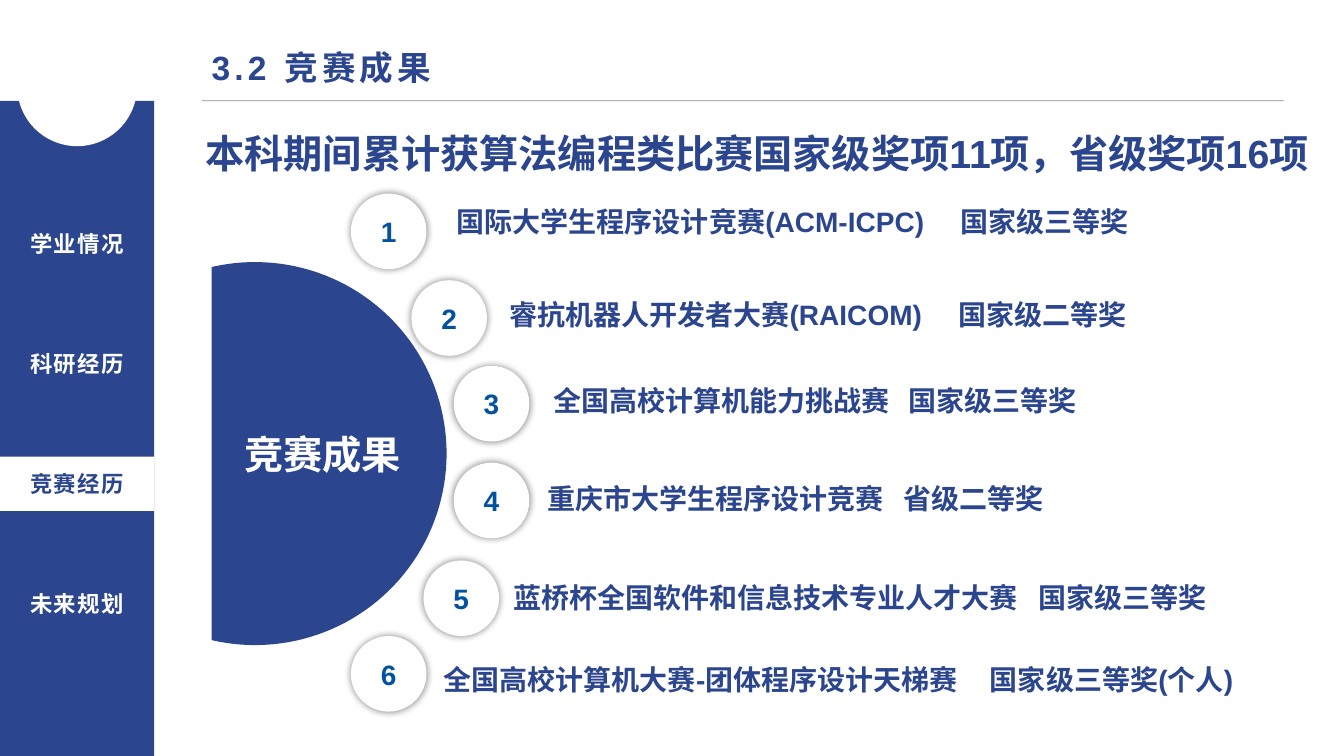
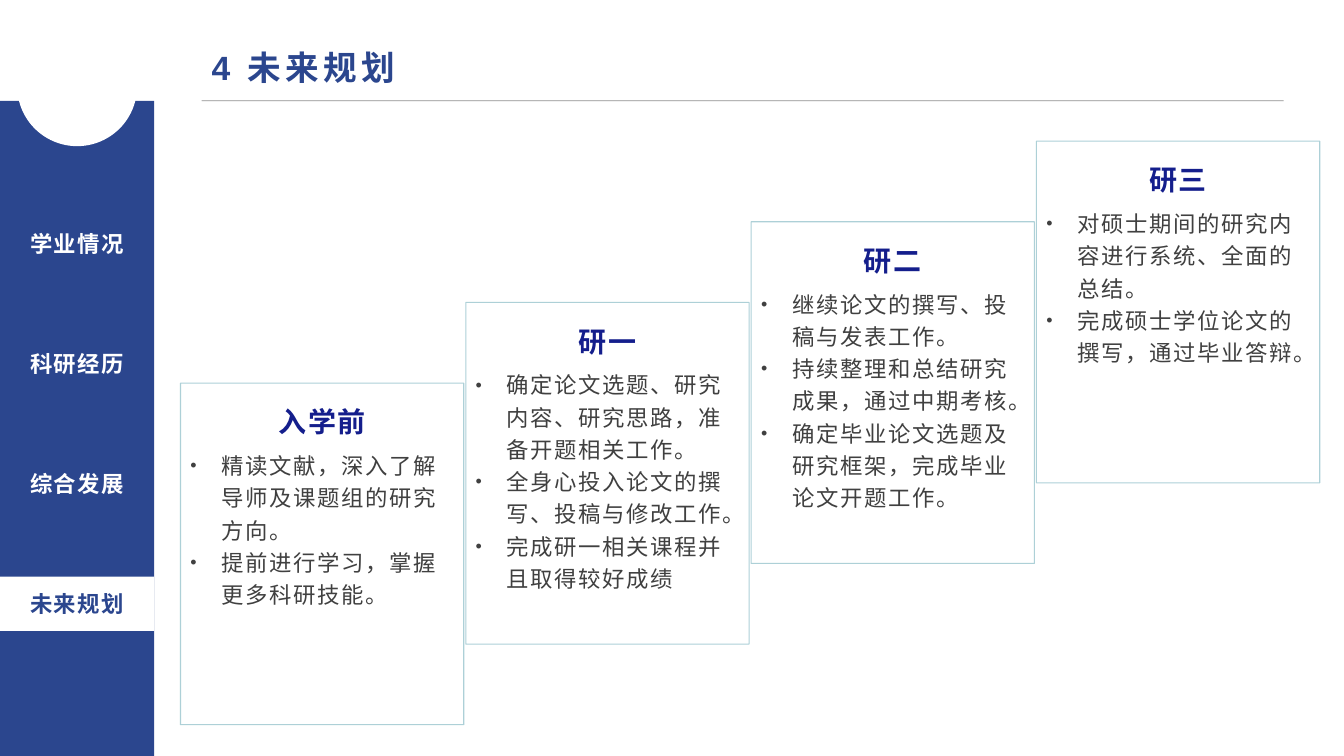
from math import acos, cos, pi, sin

from pptx import Presentation
from pptx.dml.color import RGBColor
from pptx.enum.shapes import MSO_CONNECTOR, MSO_SHAPE
from pptx.enum.text import MSO_ANCHOR, PP_ALIGN
from pptx.oxml.ns import qn
from pptx.util import Inches, Pt
from lxml.etree import SubElement

# Theme: colours and type styles
NAVY, WHITE = RGBColor(0x2B, 0x46, 0x8E), RGBColor(0xFF, 0xFF, 0xFF)
CJK = "Noto Sans CJK SC"
THEME = {
    "rule": RGBColor(0x0D, 0x0D, 0x0D),
    "card": RGBColor(0x15, 0x7A, 0x8E),
    "title": {"font": {"size": Pt(24), "bold": True, "name": "Arial"}, "color": NAVY, "spacing": 300},
    "tab": {"font": {"size": Pt(16), "bold": True, "name": CJK}, "color": WHITE, "spacing": 110},
    "tab_on": {"font": {"size": Pt(16), "bold": True, "name": CJK}, "color": NAVY, "spacing": 110},
    "summary": {"font": {"size": Pt(28), "bold": True, "name": "Arial"}, "color": NAVY},
    "hub": {"font": {"size": Pt(28), "bold": True, "name": CJK}, "color": WHITE},
    "award": {"font": {"size": Pt(20), "bold": True, "name": "Arial"}, "color": NAVY},
    "number": {"font": {"size": Pt(20), "bold": True, "name": "Arial"}, "color": RGBColor(0x02, 0x52, 0x9F)},
    "stage": {"font": {"size": Pt(20), "bold": True, "name": "Arial"},
              "color": RGBColor(0x14, 0x1E, 0x8C), "spacing": 120},
    "task": {"font": {"size": Pt(16), "bold": False, "name": "Arial"},
             "color": RGBColor(0x40, 0x40, 0x40), "spacing": 120},
}


def write(paragraph, text, style, **layout):
    """Fill a paragraph with one styled run."""
    for name, value in layout.items():
        setattr(paragraph, name, value)
    run = paragraph.add_run()
    run.text = text
    for name, value in style["font"].items():
        setattr(run.font, name, value)
    run.font.color.rgb = style["color"]
    properties = run.font._element
    properties.set("spc", str(style.get("spacing", 0)))
    SubElement(properties, qn("a:ea")).set("typeface", style["font"]["name"])


def add_box(slide, area, preset=None, fill=None, anchor=MSO_ANCHOR.TOP):
    """Add a preset shape, or a text box when no preset is given."""
    place = [Inches(value) for value in area]
    if preset is None:
        box = slide.shapes.add_textbox(*place)
    else:
        box = slide.shapes.add_shape(preset, *place)
        box.shadow.inherit = False
        box.line.fill.background()
        box.fill.background()
    if fill is not None:
        box.fill.solid()
        box.fill.fore_color.rgb = fill
    box.text_frame.word_wrap = True
    box.text_frame.vertical_anchor = anchor
    return box


prs = Presentation()
prs.slide_width, prs.slide_height = Inches(13.33), Inches(7.5)

# Shared frame: title, rule and side navigation
PAGES = [
    ("3.2 竞赛成果", ["学业情况", "科研经历", "竞赛经历", "未来规划"], "竞赛经历"),
    ("4 未来规划", ["学业情况", "科研经历", "综合发展", "未来规划"], "未来规划"),
]
for title, sections, current in PAGES:
    slide = prs.slides.add_slide(prs.slide_layouts[6])
    rule = slide.shapes.add_connector(MSO_CONNECTOR.STRAIGHT, Inches(2), Inches(1), Inches(12.73), Inches(1))
    rule.line.width = Pt(0.5)
    rule.line.color.rgb = THEME["rule"]
    SubElement(next(rule._element.iter(qn("a:srgbClr"))), qn("a:alpha")).set("val", "46000")
    SubElement(rule._element.spPr, qn("a:effectLst"))

    heading = add_box(slide, (2, 0.42, 11.73, 0.5))
    write(heading.text_frame.paragraphs[0], title, THEME["title"])
    add_box(slide, (0, 1, 1.53, 6.5), MSO_SHAPE.RECTANGLE, NAVY)
    add_box(slide, (0.17, 0.26, 1.19, 1.19), MSO_SHAPE.OVAL, WHITE)
    for row, section in enumerate(sections):
        active = section == current
        tab = add_box(slide, (0, 2.15 + 1.19 * row, 1.53, 0.54),
                      MSO_SHAPE.RECTANGLE if active else None,
                      WHITE if active else None, MSO_ANCHOR.MIDDLE)
        write(tab.text_frame.paragraphs[0], section, THEME["tab_on" if active else "tab"],
              alignment=PP_ALIGN.CENTER)

results, plan = prs.slides

# Results: disc cut off by a vertical edge
CENTER_X, CENTER_Y, RADIUS, CUT_X = 2.53, 4.5, 1.9, 2.1
STEPS = 90
reach = acos((CUT_X - CENTER_X) / RADIUS)
angles = [-reach + 2 * reach * step / STEPS for step in range(STEPS + 1)]
arc = [(Inches(CENTER_X + RADIUS * cos(a)), Inches(CENTER_Y + RADIUS * sin(a))) for a in angles]
outline = results.shapes.build_freeform(*arc[0])
outline.add_line_segments(arc[1:], close=True)
disc = outline.convert_to_shape()
disc.shadow.inherit = False
disc.fill.solid()
disc.fill.fore_color.rgb = NAVY
disc.line.fill.background()

hub = add_box(results, (2.32, 4.22, 1.76, 0.57), anchor=MSO_ANCHOR.MIDDLE)
hub.text_frame.word_wrap = False
write(hub.text_frame.paragraphs[0], "竞赛成果", THEME["hub"], alignment=PP_ALIGN.CENTER)

# Results: numbered awards around the disc
# badge left, badge top, text left, text top, text width, award tab, contest, award
AWARDS = [
    (3.48, 1.92, 4.43, 1.98, 7.48, 5.0, "国际大学生程序设计竞赛(ACM-ICPC)", "国家级三等奖"),
    (4.08, 2.78, 4.95, 2.9, 7.25, 4.46, "睿抗机器人开发者大赛(RAICOM)", "国家级二等奖"),
    (4.5, 3.63, 5.39, 3.76, 6.72, 3.52, "全国高校计算机能力挑战赛", "国家级三等奖"),
    (4.5, 4.59, 5.33, 4.73, 6.86, 3.53, "重庆市大学生程序设计竞赛", "省级二等奖"),
    (4.2, 5.56, 4.99, 5.71, 7.18, 5.21, "蓝桥杯全国软件和信息技术专业人才大赛", "国家级三等奖"),
    (3.48, 6.31, 4.3, 6.52, 8.19, 5.42, "全国高校计算机大赛-团体程序设计天梯赛", "国家级三等奖(个人)"),
]
for number, (badge_x, badge_y, x, y, width, stop, contest, award) in enumerate(AWARDS, 1):
    badge = add_box(results, (badge_x, badge_y, 0.75, 0.75), MSO_SHAPE.OVAL, WHITE, MSO_ANCHOR.MIDDLE)
    write(badge.text_frame.paragraphs[0], str(number), THEME["number"], alignment=PP_ALIGN.CENTER)
    glow = SubElement(badge._element.spPr.find(qn("a:effectLst")), qn("a:outerShdw"))
    for name, value in {"blurRad": "63500", "sx": "102000", "sy": "102000", "algn": "ctr"}.items():
        glow.set(name, value)
    shade = SubElement(glow, qn("a:srgbClr"))
    shade.set("val", "000000")
    SubElement(shade, qn("a:alpha")).set("val", "40000")

    entry = add_box(results, (x, y, width, 0.44)).text_frame.paragraphs[0]
    tab_stop = SubElement(SubElement(entry._p.get_or_add_pPr(), qn("a:tabLst")), qn("a:tab"))
    tab_stop.set("pos", str(Inches(stop)))
    tab_stop.set("algn", "l")
    write(entry, f"{contest}\t{award}", THEME["award"])

summary = add_box(results, (1.94, 1.23, 11.33, 0.57))
write(summary.text_frame.paragraphs[0],
      "本科期间累计获算法编程类比赛国家级奖项11项，省级奖项16项", THEME["summary"])

# Plan: rising steps, one card per stage
STAGES = [
    ("入学前", ["精读文献，深入了解导师及课题组的研究方向。", "提前进行学习，掌握更多科研技能。"]),
    ("研一", ["确定论文选题、研究内容、研究思路，准备开题相关工作。",
            "全身心投入论文的撰写、投稿与修改工作。", "完成研一相关课程并且取得较好成绩"]),
    ("研二", ["继续论文的撰写、投稿与发表工作。", "持续整理和总结研究成果，通过中期考核。",
            "确定毕业论文选题及研究框架，完成毕业论文开题工作。"]),
    ("研三", ["对硕士期间的研究内容进行系统、全面的总结。", "完成硕士学位论文的撰写，通过毕业答辩。"]),
]
for step, (stage, tasks) in enumerate(STAGES):
    card = add_box(plan, (1.79 + 2.83 * step, 3.8 - 0.8 * step, 2.81, 3.39), MSO_SHAPE.RECTANGLE)
    card.line.width = Pt(0.75)
    card.line.color.rgb = THEME["card"]
    SubElement(next(card._element.spPr.iter(qn("a:srgbClr"))), qn("a:alpha")).set("val", "35000")
    write(card.text_frame.paragraphs[0], stage, THEME["stage"],
          alignment=PP_ALIGN.CENTER, line_spacing=1.5, space_after=Pt(6))
    for task in tasks:
        item = card.text_frame.add_paragraph()
        properties = item._p.get_or_add_pPr()
        properties.set("marL", str(Inches(0.31)))
        properties.set("indent", str(Inches(-0.31)))
        for tag, name, value in [("a:buSzPct", "val", "80000"), ("a:buFont", "typeface", "Arial"),
                                 ("a:buChar", "char", "•")]:
            SubElement(properties, qn(tag)).set(name, value)
        write(item, task, THEME["task"], alignment=PP_ALIGN.LEFT, line_spacing=1.2)

prs.save("out.pptx")
